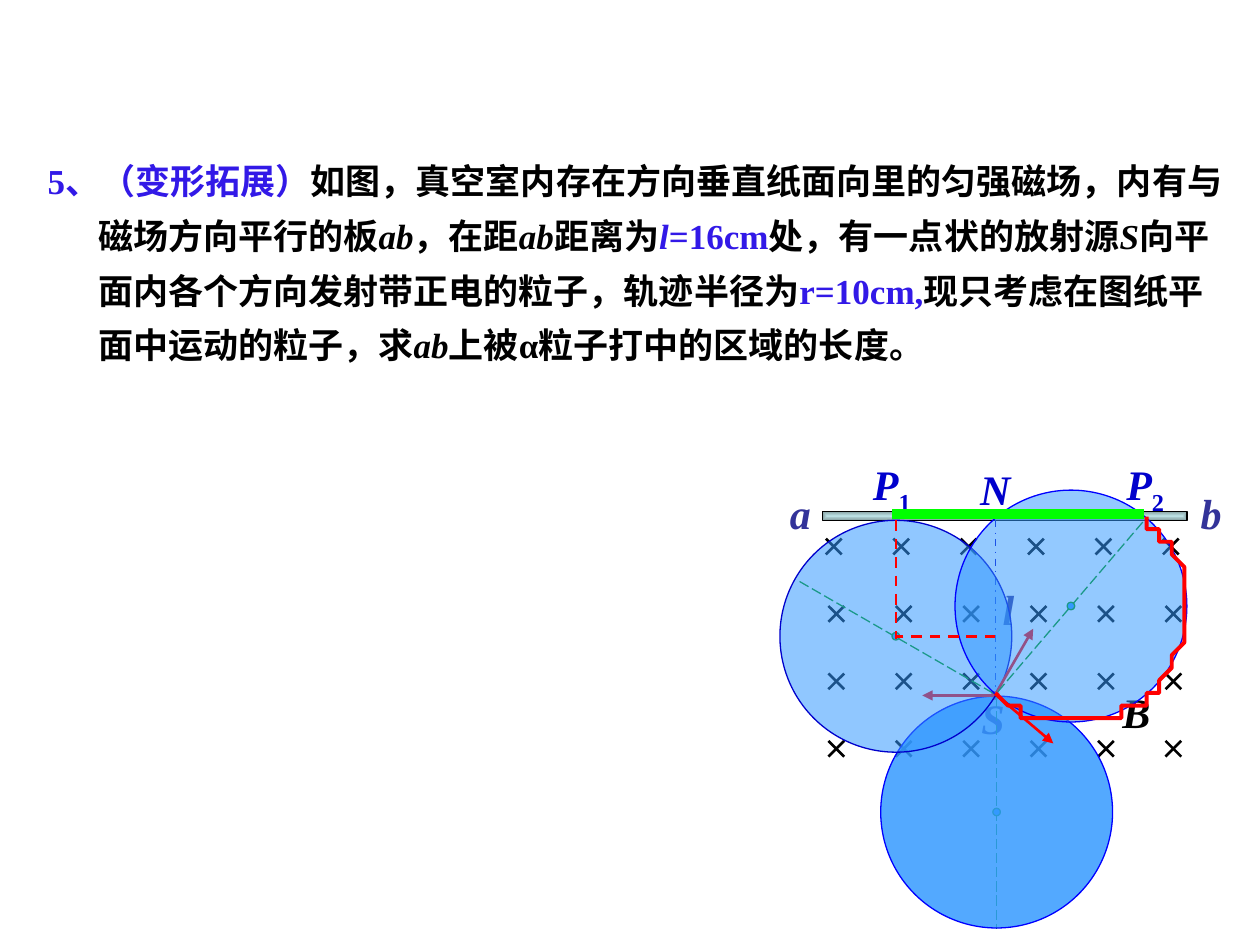
from math import atan2, cos, pi, sin

from lxml.etree import SubElement
from pptx import Presentation
from pptx.dml.color import RGBColor as RGB
from pptx.enum.dml import MSO_LINE as DASH
from pptx.enum.shapes import MSO_CONNECTOR as CONN, MSO_SHAPE as SHAPE
from pptx.enum.text import MSO_AUTO_SIZE as FIT, PP_ALIGN as ALIGN
from pptx.oxml.ns import qn
from pptx.util import Inches, Pt

BLACK = RGB(0x00, 0x00, 0x00)
RED = RGB(0xFF, 0x00, 0x00)
LIME = RGB(0x00, 0xFF, 0x00)
GREEN = RGB(0x00, 0x99, 0x00)
NAVY = RGB(0x00, 0x00, 0xCC)
BLUE = RGB(0x00, 0x00, 0xFF)
SKY = RGB(0x33, 0x99, 0xFF)
INDIGO = RGB(0x33, 0x33, 0x99)
VIOLET = RGB(0x32, 0x19, 0xE7)
PALE = RGB(0xBB, 0xE0, 0xE3)
STEEL = RGB(0x86, 0xA0, 0xA2)
FONT = "Times New Roman"

prs = Presentation()
prs.slide_width, prs.slide_height = Inches(10), Inches(7.5)
U = prs.slide_width // 100  # all places are in hundredths of the slide width
slide = prs.slides.add_slide(prs.slide_layouts[6])
shapes = slide.shapes


def line(start, end, color, width, dash=None, arrow=False):
    ends = [round(v * U) for v in (*start, *end)]
    item = shapes.add_connector(CONN.STRAIGHT, *ends)
    item.line.color.rgb = color
    item.line.width = Pt(width)
    if dash:
        item.line.dash_style = dash
    if arrow:
        SubElement(item.line._get_or_add_ln(), qn("a:tailEnd"), type="triangle")
    SubElement(item._element.spPr, qn("a:effectLst"))


def label(text, left, top, width, color, sub=""):
    """Add an italic letter with an optional upright subscript."""
    box = shapes.add_textbox(*[round(v * U) for v in (left, top, width, 5)])
    box.text_frame.word_wrap = False
    box.text_frame.text = text
    para = box.text_frame.paragraphs[0]
    if sub:
        low = para.add_run()
        low.text = sub
        low._r.get_or_add_rPr().set("baseline", "-25000")
    for run in para.runs:
        run.font.name, run.font.size, run.font.bold = FONT, Pt(24), True
        run.font.color.rgb = color
    para.runs[0].font.italic = True


# Question
box = shapes.add_textbox(*[round(v * U) for v in (2.8, 11.2, 96.1, 18.5)])
frame = box.text_frame
frame.word_wrap = True
frame.auto_size = FIT.SHAPE_TO_FIT_TEXT
para = frame.paragraphs[0]
para.alignment = ALIGN.LEFT
para.line_spacing = 1.3
props = para._p.get_or_add_pPr()
props.set("marL", str(4 * U))
props.set("indent", str(-4 * U))
for text, color, slant in (
    ("5、（变形拓展）", VIOLET, False),
    ("如图，真空室内存在方向垂直纸面向里的匀强磁场，内有与磁场方向平行的板", BLACK, False),
    ("ab", BLACK, True),
    ("，在距", BLACK, False),
    ("ab", BLACK, True),
    ("距离为", BLACK, False),
    ("l", VIOLET, True),
    ("=16cm", VIOLET, False),
    ("处，有一点状的放射源", BLACK, False),
    ("S", BLACK, True),
    ("向平面内各个方向发射带正电的粒子，轨迹半径为", BLACK, False),
    ("r=10cm,", VIOLET, False),
    ("现只考虑在图纸平面中运动的粒子，求", BLACK, False),
    ("ab", BLACK, True),
    ("上被α粒子打中的区域的长度。", BLACK, False),
):
    run = para.add_run()
    run.text = text
    run.font.name, run.font.size = FONT, Pt(20)
    run.font.bold, run.font.italic = True, slant
    run.font.color.rgb = color

# Field crosses; the top row sits slightly to the left
STEP, SIZE = 5.35, 1.25
for row in range(4):
    for col in range(6):
        x = 65.75 + col * STEP - (0.2 if row == 0 else 0)
        y = 42.75 + row * STEP
        line((x, y), (x + SIZE, y + SIZE), BLACK, 1.5)
        line((x, y + SIZE), (x + SIZE, y), BLACK, 1.5)

# Plate ab and source S
plate = shapes.add_shape(SHAPE.RECTANGLE, *[round(v * U) for v in (65.3, 40.6, 28.9, 0.7)])
plate.shadow.inherit = False
plate.fill.gradient()
for stop, color in zip(plate.fill.gradient_stops, (PALE, STEEL)):
    stop.color.rgb = color
grad = plate._element.spPr.find(qn("a:gradFill"))
grad.remove(grad.find(qn("a:lin")))
path = SubElement(grad, qn("a:path"), path="shape")
SubElement(path, qn("a:fillToRect"), l="50000", t="50000", r="50000", b="50000")
plate.line.color.rgb = BLACK
plate.line.width = Pt(0.75)

line((79, 41.3), (79, 55.2), NAVY, 1, DASH.DASH_DOT)
dot = shapes.add_shape(SHAPE.OVAL, *[round(v * U) for v in (78.7, 54.9, 0.6, 0.6)])
dot.shadow.inherit = False
dot.fill.solid()
dot.fill.fore_color.rgb = BLACK
dot.line.color.rgb = RED
dot.line.width = Pt(0.75)

label("b", 94.3, 38.2, 3.7, INDIGO)
label("a", 61.7, 38.2, 3.7, INDIGO)
label("S", 76.9, 54.5, 3.9, INDIGO)
label("l", 78.6, 45.8, 3, INDIGO)
label("B", 88.1, 54, 4.3, BLACK)

# Orbits: centre, diameter line, edge, opacity, velocity arrow
RAD = 9.2
for (x, y), start, end, edge, alpha, tail, tip in (
    ((79.1, 64.45), (79.1, 55.3), (79.1, 73.7), BLUE, 84, (79.1, 55.2), (73.2, 55.2)),
    ((71.1, 50.5), (78.8, 55), (63.2, 46), NAVY, 54, (79, 55.1), (82, 49.9)),
    ((85, 48.1), (79.2, 54.9), (90.9, 41.2), BLUE, 53, (79, 55.1), (83.6, 59)),
):
    line(start, end, GREEN, 0.75, DASH.LONG_DASH)
    for rad, rim, share in ((0.3, GREEN, 100), (RAD, edge, alpha)):
        disc = shapes.add_shape(
            SHAPE.OVAL, *[round(v * U) for v in (x - rad, y - rad, 2 * rad, 2 * rad)])
        disc.shadow.inherit = False
        disc.fill.solid()
        disc.fill.fore_color.rgb = SKY
        disc.line.color.rgb = rim
        disc.line.width = Pt(0.75)
        if share < 100:
            tint = disc._element.spPr.find(qn("a:solidFill"))[0]
            SubElement(tint, qn("a:alpha"), val=str(share * 1000))
    line(tail, tip, RED, 1.5, arrow=True)

# Red arc from P2 round to S
MID, COUNT = (85, 48.2), 60
first, last = atan2(-7, 6), atan2(6.9, -6.1)
turns = [first + (last - first) * n / COUNT for n in range(COUNT + 1)]
dots = [(MID[0] + RAD * cos(t), MID[1] + RAD * sin(t)) for t in turns]
pen = shapes.build_freeform(*dots[0], scale=U)
pen.add_line_segments(dots[1:], close=False)
arc = pen.convert_to_shape()
arc.shadow.inherit = False
arc.fill.background()
arc.line.color.rgb = RED
arc.line.width = Pt(2.25)

# Struck part of the plate
label("P", 68.3, 35.9, 5.2, NAVY, "1")
label("N", 76.8, 36.3, 4.4, NAVY)
label("P", 88.4, 35.9, 5.2, NAVY, "2")
line((71.1, 41.3), (71.1, 50.7), RED, 1.5, DASH.DASH)
line((79, 50.5), (71, 50.5), RED, 1.5, DASH.DASH)
line((70.8, 40.8), (90.8, 40.8), LIME, 6)

prs.save("out.pptx")
